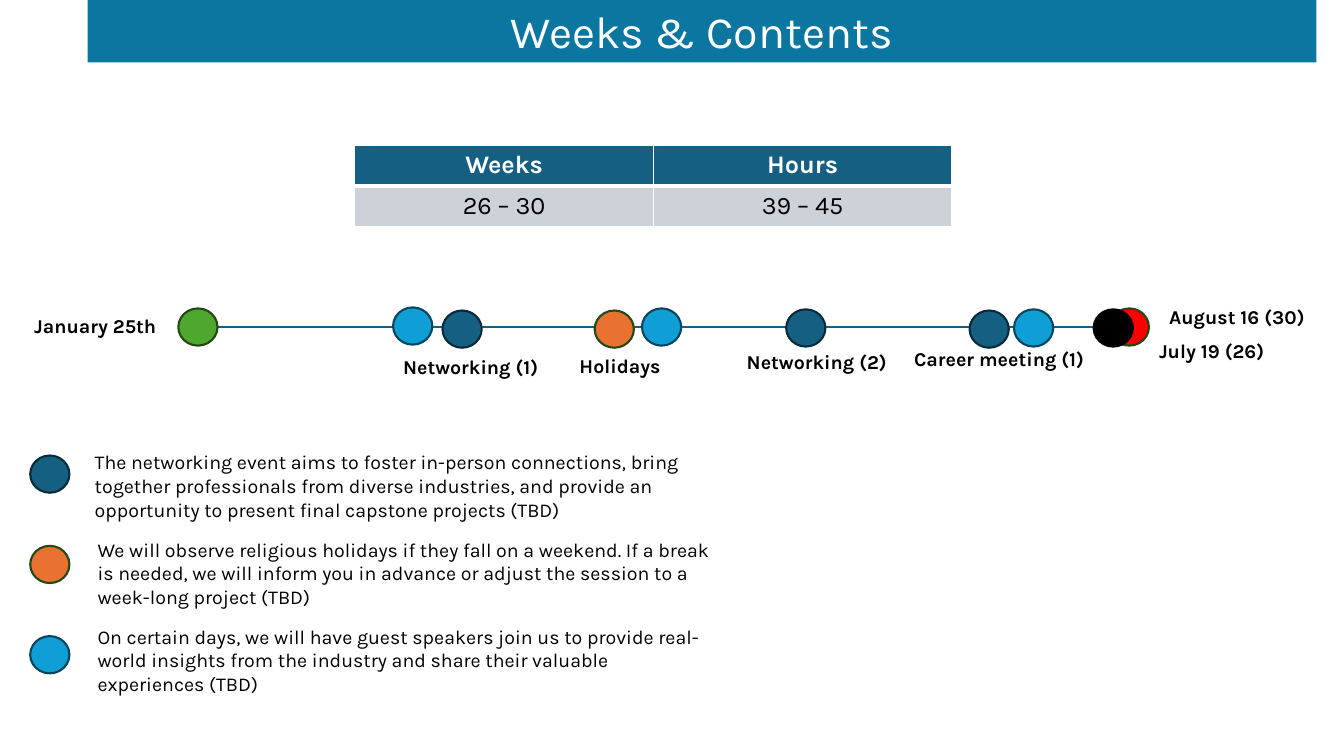
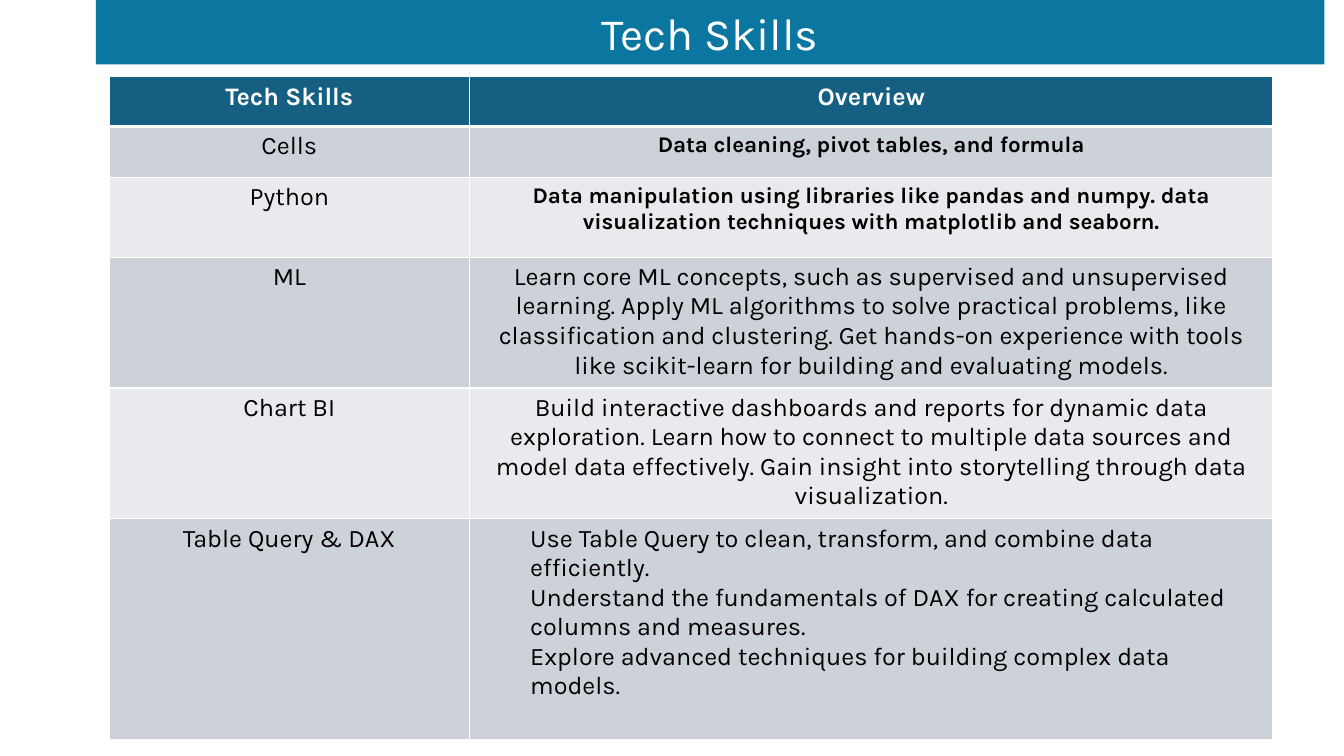
import collections

import pptx
import pptx.dml.color
import pptx.enum.shapes
import pptx.enum.text
import pptx.oxml.ns
import pptx.util
from lxml import etree

Pt = pptx.util.Pt
SHAPE = pptx.enum.shapes.MSO_SHAPE
ALIGN = pptx.enum.text.PP_ALIGN
ANCHOR = pptx.enum.text.MSO_ANCHOR

FONT = "Karla"
WHITE, BLACK = "FFFFFF", "000000"
BAND, NAVY = "0B76A0", "156082"
ROW_FILLS = ("CCD2D8", "E8EAED")
MARKER_WIDTH, MARKER_HEIGHT = 28, 26.6
TITLE_WIDTH, TITLE_HEIGHT = 877.7, 46

Box = collections.namedtuple("Box", "left top width height")
Entry = collections.namedtuple("Entry", "lines size bold indent", defaults=(18, False, 0))

MARKERS = {
    "start": ("4EA72E", "224914"),
    "end": ("FF0000", "224914"),
    "early end": (BLACK, BLACK),
    "holiday": ("E97132", "224914"),
    "networking": (NAVY, "092A39"),
    "speaker": ("0F9ED5", "07455D"),
}

EVENTS = [
    ("start", 110.4, 6.3),
    ("end", 775.7, 6.3),
    ("early end", 764.2, 7),
    ("holiday", 407.8, 7.8),
    ("networking", 675.6, 7.8),
    ("networking", 544.6, 7),
    ("networking", 299.1, 7.8),
    ("speaker", 263.8, 5.6),
    ("speaker", 441.6, 6.3),
    ("speaker", 707.3, 7),
]

EVENT_LABELS = [
    ("January 25th", 0.3, 7, 110),
    ("August 16 (30)", 811, 0.6, 121),
    ("July 19 (26)", 803.8, 24.3, 110),
    ("Networking (1)", 263.8, 35.8, 118),
    ("Networking (2)", 509.3, 32.2, 124),
    ("Career meeting (1)", 628.8, 30.1, 146),
    ("Holidays", 389.8, 35.1, 178),
]

LEGEND = [
    ("networking", 39, "The networking event aims to foster in-person connections, bring together "
     "professionals from diverse industries, and provide an opportunity to present final "
     "capstone projects (TBD)"),
    ("holiday", 41, "We will observe religious holidays if they fall on a weekend. If a break is "
     "needed, we will inform you in advance or adjust the session to a week-long project (TBD)"),
    ("speaker", 41, "On certain days, we will have guest speakers join us to provide real-world "
     "insights from the industry and share their valuable experiences (TBD)"),
]

SCHEDULE = [
    [Entry(["Weeks"], bold=True), Entry(["Hours"], bold=True)],
    [Entry(["26 – 30"]), Entry(["39 – 45"])],
]

SKILLS = [
    [Entry(["Tech Skills"], bold=True), Entry(["Overview"], bold=True)],
    [Entry(["Cells"]), Entry(["Data cleaning, pivot tables, and formula"], 16, True)],
    [Entry(["Python"]), Entry(["Data manipulation using libraries like pandas and numpy. data "
                               "visualization techniques with matplotlib and seaborn."], 16, True)],
    [Entry(["ML"]), Entry(["Learn core ML concepts, such as supervised and unsupervised learning. "
                           "Apply ML algorithms to solve practical problems, like classification "
                           "and clustering. Get hands-on experience with tools like scikit-learn "
                           "for building and evaluating models."])],
    [Entry(["Chart BI"]), Entry(["Build interactive dashboards and reports for dynamic data "
                                 "exploration. Learn how to connect to multiple data sources and "
                                 "model data effectively. Gain insight into storytelling through "
                                 "data visualization."])],
    [Entry(["Table Query & DAX"]), Entry([
        "Use Table Query to clean, transform, and combine data efficiently.",
        "Understand the fundamentals of DAX for creating calculated columns and measures.",
        "Explore advanced techniques for building complex data models."], indent=36)],
]


def colour(hex_value):
    return pptx.dml.color.RGBColor.from_string(hex_value)


def paint(target, hex_value):
    target.fill.solid()
    target.fill.fore_color.rgb = colour(hex_value)


def add_run(paragraph, text, size, hex_value, bold=False):
    run = paragraph.add_run()
    run.text = text
    run.font.name = FONT
    run.font.size = Pt(size)
    run.font.bold = bold
    run.font.color.rgb = colour(hex_value)


def add_titled_slide(deck, title, left, top):
    slide = deck.slides.add_slide(deck.slide_layouts[5])
    band = slide.shapes.title
    band.left, band.top = Pt(left), Pt(top)
    band.width, band.height = Pt(TITLE_WIDTH), Pt(TITLE_HEIGHT)
    paint(band, BAND)
    frame = band.text_frame
    frame.auto_size = pptx.enum.text.MSO_AUTO_SIZE.NONE
    frame.vertical_anchor = ANCHOR.MIDDLE
    frame.paragraphs[0].alignment = ALIGN.CENTER
    add_run(frame.paragraphs[0], title, 32, WHITE)
    return slide


def add_marker(slide, kind, left, top):
    marker = slide.shapes.add_shape(SHAPE.OVAL, Pt(left), Pt(top),
                                    Pt(MARKER_WIDTH), Pt(MARKER_HEIGHT))
    fill, outline = MARKERS[kind]
    marker.shadow.inherit = False
    paint(marker, fill)
    marker.line.color.rgb = colour(outline)
    marker.line.width = Pt(1.5)


def add_text(slide, box, text, bold=False):
    note = slide.shapes.add_textbox(*(Pt(length) for length in box))
    note.text_frame.word_wrap = True
    add_run(note.text_frame.paragraphs[0], text, 14, BLACK, bold)


def add_axis(slide, start, end, y):
    axis = slide.shapes.add_connector(pptx.enum.shapes.MSO_CONNECTOR.STRAIGHT,
                                      Pt(start), Pt(y), Pt(end), Pt(y))
    axis.line.color.rgb = colour(NAVY)
    axis.line.width = Pt(1.5)
    qn = pptx.oxml.ns.qn
    etree.SubElement(axis.line._get_or_add_ln(), qn("a:tailEnd"), type="triangle")
    etree.SubElement(axis._element.spPr, qn("a:effectLst"))


def add_timeline(slide, box):
    add_axis(slide, box.left + 138.5, box.left + 775.7, box.top + 19.3)
    for kind, x, y in EVENTS:
        add_marker(slide, kind, box.left + x, box.top + y)
    for text, x, y, width in EVENT_LABELS:
        add_text(slide, Box(box.left + x, box.top + y, width, 24.5), text, bold=True)


def add_legend(slide, box):
    text_pitch, marker_pitch = 62.3, 64.5
    for index, (kind, indent, text) in enumerate(LEGEND):
        add_marker(slide, kind, box.left, box.top + 7.2 + index * marker_pitch)
        add_text(slide, Box(box.left + indent, box.top + index * text_pitch,
                            box.width - indent, 58), text)


def set_borders(cell, bottom):
    qn = pptx.oxml.ns.qn
    properties = cell._tc.get_or_add_tcPr()
    for index, (side, width) in enumerate(zip("LRTB", (1, 1, 1, bottom))):
        edge = etree.Element(qn(f"a:ln{side}"), w=str(Pt(width)))
        fill = etree.SubElement(edge, qn("a:solidFill"))
        etree.SubElement(fill, qn("a:srgbClr"), val=WHITE)
        properties.insert(index, edge)


def fill_cell(cell, entry, is_header, row_fill):
    paint(cell, row_fill)
    set_borders(cell, 3 if is_header else 1)
    frame = cell.text_frame
    for index, line in enumerate(entry.lines):
        paragraph = frame.add_paragraph() if index else frame.paragraphs[0]
        if entry.indent:
            paragraph.level = 1
            paragraph._p.get_or_add_pPr().set("marL", str(Pt(entry.indent)))
            paragraph.alignment = ALIGN.LEFT
        else:
            paragraph.alignment = ALIGN.CENTER
        add_run(paragraph, line, entry.size, WHITE if is_header else BLACK, entry.bold)


def add_grid(slide, box, entries, shares, heights):
    frame = slide.shapes.add_table(len(entries), len(shares),
                                   *(Pt(length) for length in box))
    grid = frame.table
    for column, share in zip(grid.columns, shares):
        column.width = Pt(box.width * share)
    for index, (row, height) in enumerate(zip(grid.rows, heights)):
        row.height = Pt(height)
        row_fill = ROW_FILLS[(index - 1) % 2] if index else NAVY
        for cell, entry in zip(row.cells, entries[index]):
            fill_cell(cell, entry, index == 0, row_fill)


def build_weeks_slide(deck):
    slide = add_titled_slide(deck, "Weeks & Contents", 62.6, -1.4)
    add_grid(slide, Box(253.5, 103.9, 426.4, 58), SCHEDULE, (0.5, 0.5), (29, 29))
    add_timeline(slide, Box(17, 214, 932, 60))
    add_legend(slide, Box(21.6, 318.2, 496, 184))


def build_skills_slide(deck):
    slide = add_titled_slide(deck, "Tech Skills", 68.4, 0)
    heights = (35.5, 36.5, 56.8, 93.5, 93.5, 158)
    add_grid(slide, Box(77.8, 54.9, 831.4, sum(heights)), SKILLS, (0.31, 0.69), heights)


def main():
    deck = pptx.Presentation()
    deck.slide_width, deck.slide_height = Pt(960), Pt(540)
    build_weeks_slide(deck)
    build_skills_slide(deck)
    deck.save("out.pptx")


if __name__ == "__main__":
    main()
